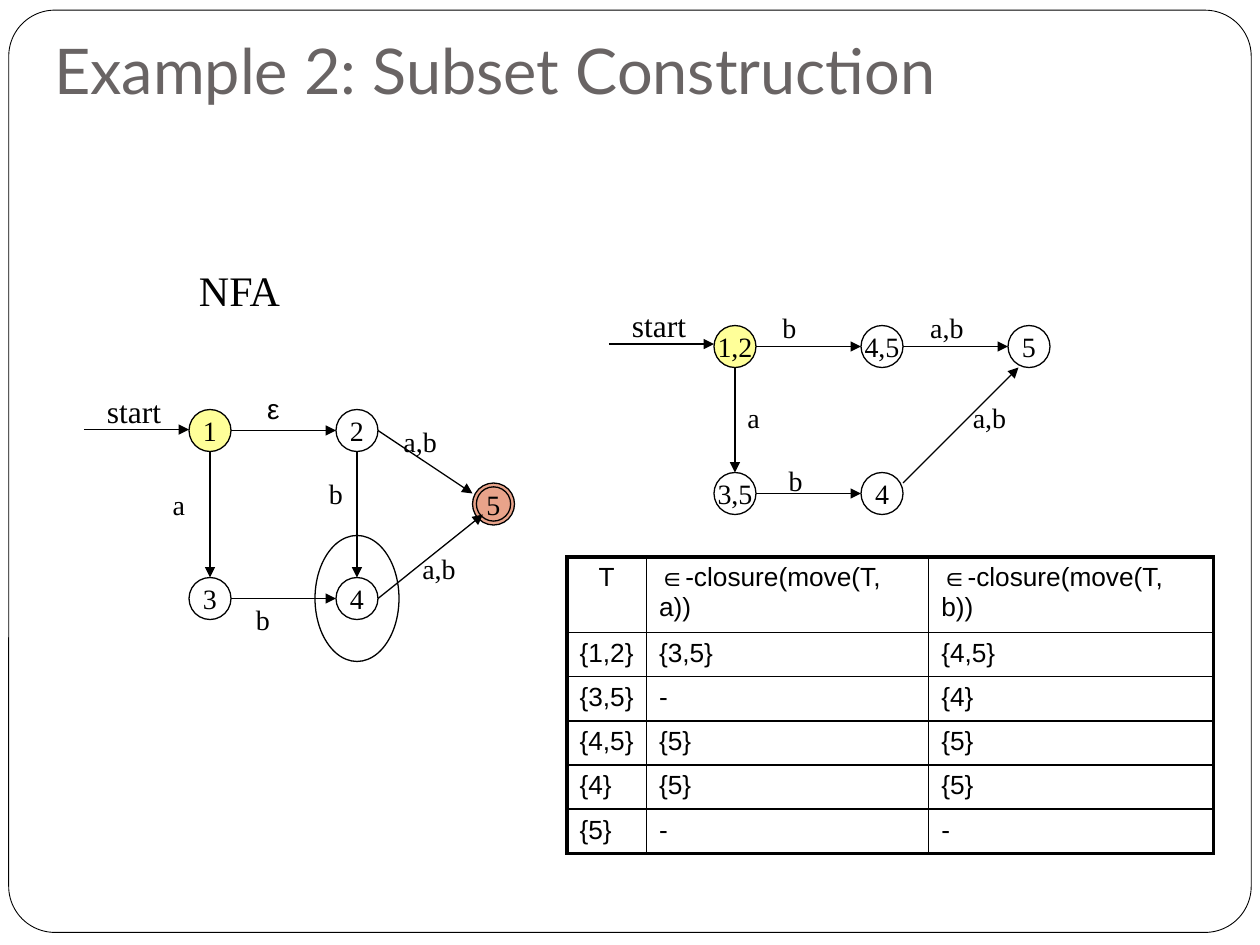
from lxml.etree import SubElement
from pptx import Presentation
from pptx.dml.color import RGBColor
from pptx.enum.shapes import MSO_CONNECTOR as Connector, MSO_SHAPE as Shape
from pptx.enum.text import MSO_ANCHOR as Anchor, MSO_AUTO_SIZE as AutoSize, PP_ALIGN as Align
from pptx.oxml.ns import qn
from pptx.util import Pt

COLORS = {"ink": "000000", "paper": "FFFFFF", "title": "696464", "start": "FFFF99", "final": "D34817"}
SERIF, SANS, HEADING = "Times New Roman", "Arial", "Lato"
NODE = 24
TOP, LEFT, BOTTOM, RIGHT = (12, 0), (0, 12), (12, 24), (24, 12)
LABEL_WIDTHS = {"a": 21.6, "b": 22.3, "ε": 21.6, "a,b": 33.8}

NFA = {
    "start_y": 101.5,
    "nodes": {
        "1": (60, 90, "start"), "5": (222, 132, "final"), "2": (144, 90, "paper"),
        "4": (144, 186, "paper"), "3": (60, 186, "paper"),
    },
    "edges": [
        ("1", RIGHT, "2", LEFT), ("2", BOTTOM, "4", TOP), ("1", BOTTOM, "3", TOP),
        ("3", RIGHT, "4", LEFT), ("4", RIGHT, "5", (6, 18)), ("2", RIGHT, "5", (0, 6)),
    ],
    "labels": [
        ("ε", 97.4, 76.3), ("b", 91, 196.6), ("a", 43.4, 131),
        ("b", 132.7, 124.6), ("a,b", 175.2, 95), ("a,b", 186, 167.8),
    ],
}
DFA = {
    "start_y": 28.6,
    "nodes": {
        "1,2": (60, 18, "start"), "4,5": (144, 18, None), "5": (228, 18, None),
        "3,5": (60, 102, None), "4": (144, 102, None),
    },
    "edges": [
        ("1,2", RIGHT, "4,5", LEFT), ("4,5", RIGHT, "5", LEFT), ("1,2", BOTTOM, "3,5", TOP),
        ("3,5", RIGHT, "4", LEFT), ("4", (24, 6), "5", (6, 24)),
    ],
    "labels": [
        ("a,b", 176.2, 6.2), ("a,b", 200.6, 57.4), ("b", 91.9, 6.2),
        ("a", 71.8, 57.4), ("b", 95.5, 93.4),
    ],
}
SUBSETS = [
    ("T", "∈-closure(move(T, a))", "∈-closure(move(T, b))"),
    ("{1,2}", "{3,5}", "{4,5}"),
    ("{3,5}", "-", "{4}"),
    ("{4,5}", "{5}", "{5}"),
    ("{4}", "{5}", "{5}"),
    ("{5}", "-", "-"),
]


def rgb(name):
    """Return the named colour."""
    return RGBColor.from_string(COLORS[name])


def apply(target, values):
    """Set each attribute of the target from a dict."""
    for name, value in values.items():
        setattr(target, name, value)


def write(frame, text, size, font=SERIF, color="ink", align=Align.LEFT):
    """Put one formatted span into a text frame."""
    para = frame.paragraphs[0]
    para.alignment = align
    span = para.add_run()
    span.text = text
    apply(span.font, {"size": Pt(size), "name": font, "bold": False})
    span.font.color.rgb = rgb(color)


def add_outline(shapes, kind, box, fill=None, width=0.75):
    """Add a thinly outlined shape with an optional fill."""
    shape = shapes.add_shape(kind, *map(Pt, box))
    shape.shadow.inherit = False
    if fill:
        shape.fill.solid()
        shape.fill.fore_color.rgb = rgb(fill)
    else:
        shape.fill.background()
    shape.line.color.rgb = rgb("ink")
    shape.line.width = Pt(width)
    return shape


def add_label(shapes, text, box, size=16, font=SERIF, align=Align.CENTER):
    """Add an unwrapped text box that fits its text."""
    label = shapes.add_textbox(*map(Pt, box))
    apply(label.text_frame, {"word_wrap": False, "auto_size": AutoSize.SHAPE_TO_FIT_TEXT})
    write(label.text_frame, text, size, font, align=align)


def add_arrow(shapes, x1, y1, x2, y2):
    """Add a straight line with an arrowhead at its end."""
    arrow = shapes.add_connector(Connector.STRAIGHT, Pt(x1), Pt(y1), Pt(x2), Pt(y2))
    arrow.line.color.rgb = rgb("ink")
    arrow.line.width = Pt(0.75)
    SubElement(arrow.line._get_or_add_ln(), qn("a:tailEnd"), type="triangle")
    SubElement(arrow._element.spPr, qn("a:effectLst"))


def add_node(shapes, text, left, top, fill):
    """Add a state circle, half transparent when final."""
    node = add_outline(shapes, Shape.OVAL, (left, top, NODE, NODE), fill)
    apply(node.text_frame, {"word_wrap": False, "vertical_anchor": Anchor.MIDDLE})
    write(node.text_frame, text, 16, align=Align.CENTER)
    if fill == "final":
        color = node._element.spPr.find(qn("a:solidFill"))[0]
        SubElement(color, qn("a:alpha"), val="50000")


def add_automaton(page, left, top, graph):
    """Draw the states, transitions and start arrow of a graph."""
    shapes, nodes = page.shapes, graph["nodes"]
    for text, (x, y, fill) in nodes.items():
        add_node(shapes, text, left + x, top + y, fill)
    for source, (dx1, dy1), target, (dx2, dy2) in graph["edges"]:
        (x1, y1, _), (x2, y2, _) = nodes[source], nodes[target]
        add_arrow(shapes, left + x1 + dx1, top + y1 + dy1, left + x2 + dx2, top + y2 + dy2)
    for text, x, y in graph["labels"]:
        font = SANS if text == "ε" else SERIF
        add_label(shapes, text, (left + x, top + y, LABEL_WIDTHS[text], 26.6), font=font)
    start = page.shapes.add_group_shape().shapes
    y = top + graph["start_y"]
    add_arrow(start, left, y, left + 60, y)
    add_label(start, "start", (left + 6, y - 25, 49.7, 28.8), 18, align=Align.LEFT)


def add_nfa(page, left, top):
    """Draw the NFA with its heading, final ring and marked state."""
    add_automaton(page, left, top, NFA)
    add_label(page.shapes, "NFA", (left + 58.6, top + 3.6, 62.6, 36), 24, align=Align.LEFT)
    add_outline(page.shapes, Shape.OVAL, (left + 132, top + 162, 48, 72))
    add_outline(page.shapes, Shape.OVAL, (left + 224.2, top + 134.2, 19.6, 19.6))


def set_borders(cell, widths):
    """Give a cell its left, right, top and bottom border widths."""
    props = cell._tc.get_or_add_tcPr()
    for index, (side, width) in enumerate(zip(("lnL", "lnR", "lnT", "lnB"), widths)):
        line = props.makeelement(qn(f"a:{side}"), {"w": str(Pt(width))})
        fill = SubElement(line, qn("a:solidFill"))
        SubElement(fill, qn("a:srgbClr"), val=COLORS["ink"])
        props.insert(index, line)


def add_subset_table(page, left, top):
    """Add the table of closures with a heavy outer border."""
    widths, heights = (45.4, 161.3, 162.7), (40.5, 25, 24, 24, 24, 24)
    rows, cols = len(heights), len(widths)
    box = map(Pt, (left, top, sum(widths), sum(heights)))
    table = page.shapes.add_table(rows, cols, *box).table
    apply(table, {"first_row": False, "horz_banding": False})
    for column, width in zip(table.columns, widths):
        column.width = Pt(width)
    for r, (row, height) in enumerate(zip(table.rows, heights)):
        row.height = Pt(height)
        for c, cell in enumerate(row.cells):
            align = Align.CENTER if r == c == 0 else Align.LEFT
            write(cell.text_frame, SUBSETS[r][c], 15, SANS, align=align)
            cell.fill.background()
            outer = (c == 0, c == cols - 1, r == 0, r == rows - 1)
            set_borders(cell, [2.25 if edge else 1 for edge in outer])


def add_title(page, left, top, width, height):
    """Add the slide title, set at the bottom of its box."""
    title = page.shapes.add_textbox(*map(Pt, (left, top, width, height)))
    apply(title.text_frame, {"word_wrap": True, "vertical_anchor": Anchor.BOTTOM, "margin_bottom": Pt(7.2)})
    write(title.text_frame, "Example 2: Subset Construction", 36, HEADING, "title")


def main():
    """Build the slide and save it."""
    deck = Presentation()
    apply(deck, {"slide_width": Pt(720), "slide_height": Pt(540)})
    page = deck.slides.add_slide(deck.slide_layouts[6])
    border = add_outline(page.shapes, Shape.ROUNDED_RECTANGLE, (5, 5.8, 710, 527), "paper", 0.5)
    border.adjustments[0] = 0.05
    add_title(page, 23.8, 18, 676.8, 50.4)
    add_subset_table(page, 324, 318.2)
    add_nfa(page, 48, 144)
    add_automaton(page, 348, 168, DFA)
    deck.save("out.pptx")


if __name__ == "__main__":
    main()
